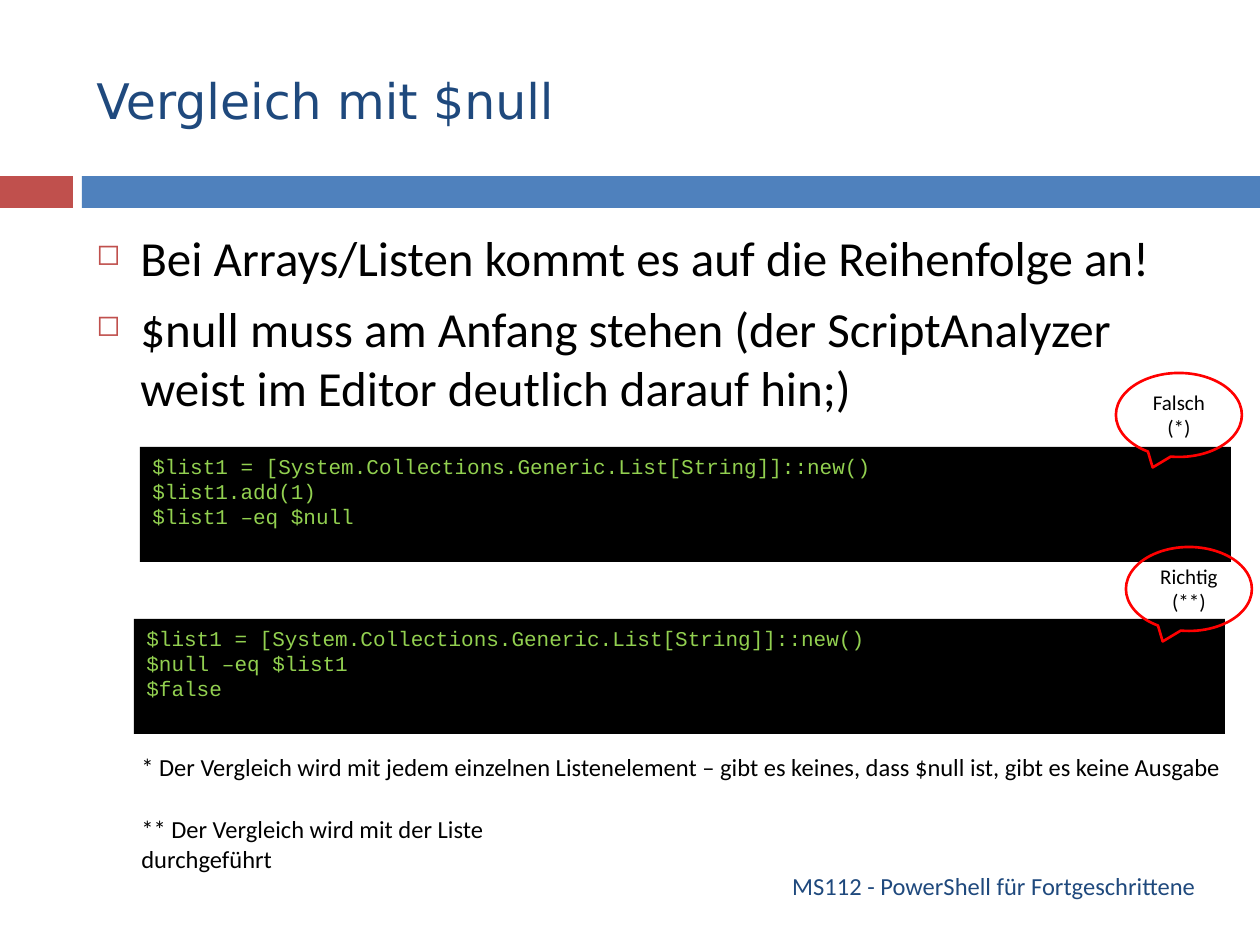
import pptx
import pptx.util
import pptx.dml.color
import pptx.enum.shapes
import pptx.enum.text
import lxml.etree
import dataclasses


@dataclasses.dataclass
class Theme:
    navy: str = "1F497D"
    blue: str = "4F81BD"
    brick: str = "C0504D"
    red: str = "FF0000"
    green: str = "92D050"
    black: str = "000000"
    heading: str = "DejaVu Sans"
    body: str = "Calibri"
    code: str = "Courier New"
    large: int = 28
    note: int = 14
    small: int = 12


PX = 914400 / 126
MSO = pptx.enum.shapes.MSO_SHAPE
ALIGN = pptx.enum.text.PP_ALIGN
ANCHOR = pptx.enum.text.MSO_ANCHOR
RGB = pptx.dml.color.RGBColor.from_string
theme = Theme()

prs = pptx.Presentation()
prs.slide_width = round(1260 * PX)
prs.slide_height = round(945 * PX)
s = prs.slides.add_slide(prs.slide_layouts[6])


def add_shape(kind, box, fill=None, line=None):
    sp = s.shapes.add_shape(kind, *[round(v * PX) for v in box])
    sp.shadow.inherit = False
    if fill:
        sp.fill.solid()
        sp.fill.fore_color.rgb = RGB(fill)
    else:
        sp.fill.background()
    if line:
        sp.line.color.rgb = RGB(line)
        sp.line.width = pptx.util.Pt(1.5)
    else:
        sp.line.fill.background()
    return sp


def set_text(sp, text, font, size, color, align=ALIGN.LEFT, anchor=ANCHOR.TOP):
    tf = sp.text_frame
    tf.word_wrap = True
    tf.vertical_anchor = anchor
    tf.text = text
    for p in tf.paragraphs:
        p.alignment = align
        for r in p.runs:
            r.font.name = font
            r.font.size = pptx.util.Pt(size)
            r.font.color.rgb = RGB(color)


add_shape(MSO.RECTANGLE, (0, 176, 73, 32), theme.brick)
add_shape(MSO.RECTANGLE, (82, 176, 1178, 32), theme.blue)

body = "\n".join([
    "Bei Arrays/Listen kommt es auf die Reihenfolge an!",
    "$null muss am Anfang stehen (der ScriptAnalyzer weist im Editor deutlich darauf hin;)",
])
notes = [
    "* Der Vergleich wird mit jedem einzelnen Listenelement – gibt es keines, dass $null ist, gibt es keine Ausgabe",
    "** Der Vergleich wird mit der Liste durchgeführt",
]
texts = [
    ((84, 32, 1124, 136), "Vergleich mit $null", theme.heading, theme.large, theme.navy, ALIGN.LEFT, ANCHOR.MIDDLE),
    ((84, 861, 1124, 50), "MS112 - PowerShell für Fortgeschrittene", theme.body, theme.note, theme.navy, ALIGN.RIGHT, ANCHOR.MIDDLE),
    ((129, 746, 1114, 43), notes[0], theme.body, theme.note, theme.black),
    ((129, 808, 496, 43), notes[1], theme.body, theme.note, theme.black),
    ((84, 221, 1124, 620), body, theme.body, theme.large, theme.black),
]
for box, *style in texts:
    sp = s.shapes.add_textbox(*[round(v * PX) for v in box])
    set_text(sp, *style)

indent = round(44 * PX)
for i, p in enumerate(sp.text_frame.paragraphs):
    pPr = p._p.get_or_add_pPr()
    pPr.set("marL", str(indent))
    pPr.set("indent", str(-indent))
    ns = pPr.nsmap["a"]
    clr = lxml.etree.SubElement(pPr, f"{{{ns}}}buClr")
    lxml.etree.SubElement(clr, f"{{{ns}}}srgbClr", val=theme.brick)
    lxml.etree.SubElement(pPr, f"{{{ns}}}buSzPct", val="60000")
    lxml.etree.SubElement(pPr, f"{{{ns}}}buChar", char="◻")
    p.space_before = pptx.util.Pt(7 if i else 0)

new_list = "$list1 = [System.Collections.Generic.List[String]]::new()"
examples = [
    (140, 447, ["$list1.add(1)", "$list1 –eq $null"]),
    (134, 619, ["$null –eq $list1", "$false"]),
]
for x, y, lines in examples:
    sp = add_shape(MSO.RECTANGLE, (x, y, 1091, 115), theme.black)
    set_text(sp, "\n".join([new_list] + lines), theme.code, theme.small, theme.green)

for x, y, verdict in [(1116, 373, "Falsch (*)"), (1126, 547, "Richtig (**)")]:
    sp = add_shape(MSO.OVAL_CALLOUT, (x, y, 126, 84), line=theme.red)
    set_text(sp, verdict, theme.body, theme.small, theme.black, ALIGN.CENTER, ANCHOR.MIDDLE)

prs.save("out.pptx")
